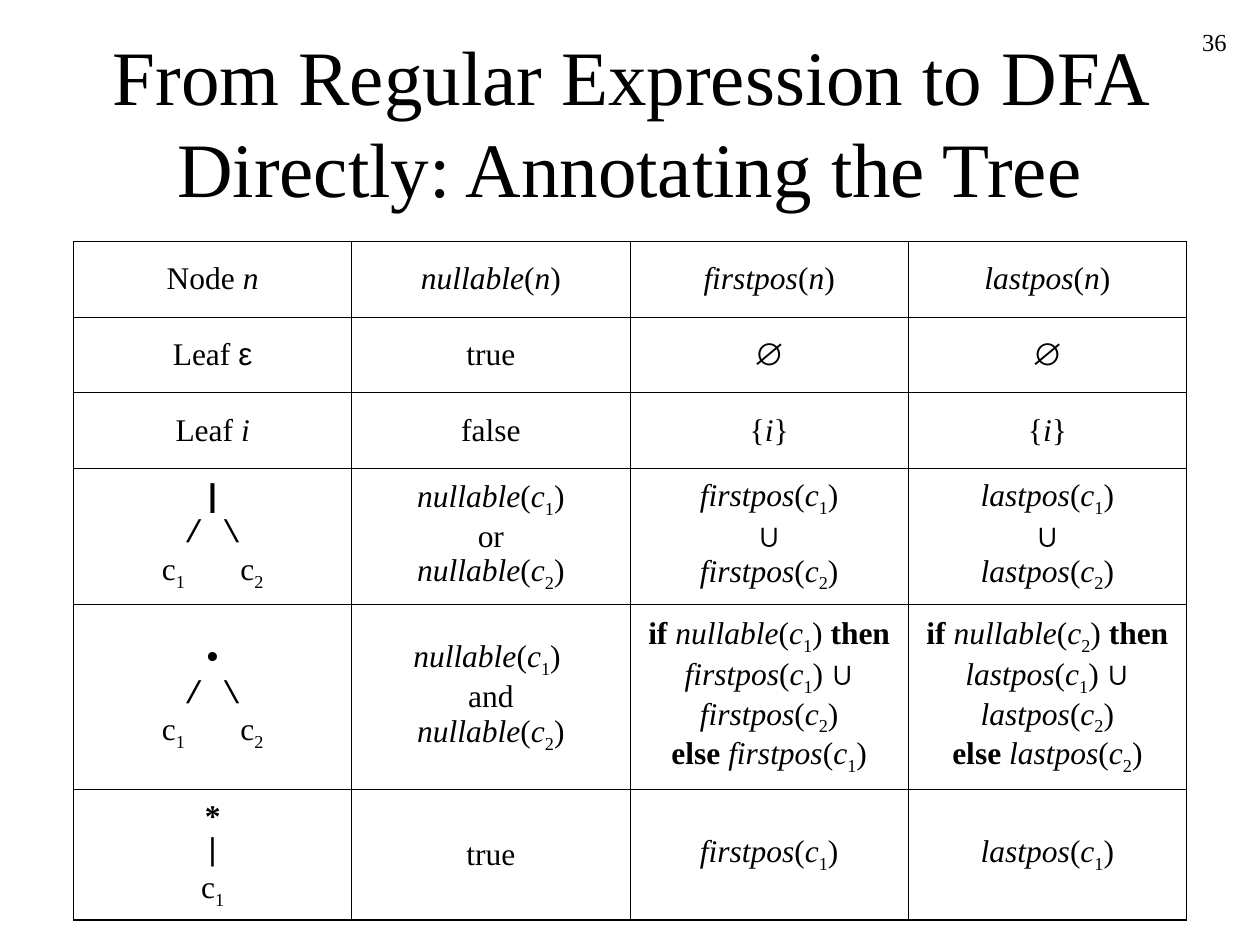
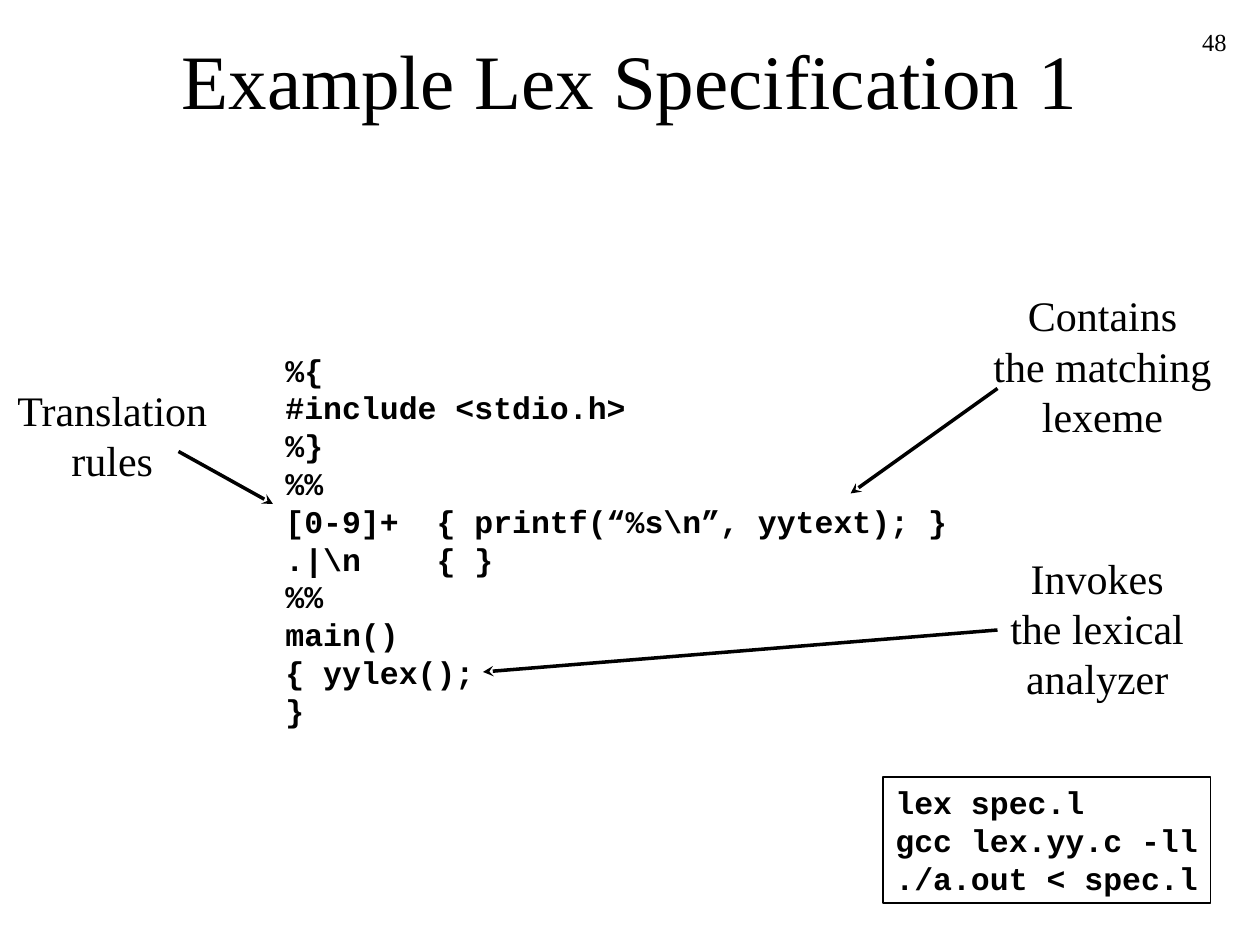
"""Build two lecture slides: a table of syntax tree annotations and a Lex example."""
import dataclasses
import itertools

import lxml.etree
import pptx
import pptx.dml.color
import pptx.enum.shapes
import pptx.enum.text
import pptx.oxml.ns
import pptx.util


@dataclasses.dataclass(frozen=True)
class Theme:
    ink: str = "000000"
    serif: str = "Times New Roman"
    sans: str = "Arial"
    mono: str = "Courier New"
    title: float = 44
    note: float = 24
    body: float = 18
    number: float = 14
    outer_border: float = 1.08
    inner_border: float = 0.45
    frame_line: float = 0.75
    arrow_line: float = 2


theme = Theme()
ink = pptx.dml.color.RGBColor.from_string(theme.ink)
qn = pptx.oxml.ns.qn
Pt = pptx.util.Pt
Align = pptx.enum.text.PP_ALIGN
Middle = pptx.enum.text.MSO_ANCHOR.MIDDLE

deck = pptx.Presentation()
deck.slide_width = pptx.util.Inches(10)
deck.slide_height = pptx.util.Inches(7.5)
COLUMNS = 120
unit = deck.slide_width / COLUMNS


def grid(*cells):
    """Turn counts of grid columns or rows into lengths."""
    return [pptx.util.Emu(round(cell * unit)) for cell in cells]


def fill_text(box, words, size, face=theme.serif, align=Align.LEFT, bold=False, wrap=False):
    """Write words into a box with one font for every paragraph."""
    frame = box.text_frame
    frame.word_wrap = wrap
    frame.auto_size = pptx.enum.text.MSO_AUTO_SIZE.NONE
    frame.text = words
    for para in frame.paragraphs:
        para.alignment = align
        para.font.name = face
        para.font.size = Pt(size)
        para.font.bold = bold
        para.font.color.rgb = ink


pages = []
for title, title_top, number in [
    ("From Regular Expression to DFA Directly: Annotating the Tree", 4, "36"),
    ("Example Lex Specification 1", 0, "48"),
]:
    page = deck.slides.add_slide(deck.slide_layouts.get_by_name("Title Only"))
    heading = page.shapes.title
    heading.left, heading.top, heading.width, heading.height = grid(9, title_top, 102, 15)
    fill_text(heading, title, theme.title, align=Align.CENTER, wrap=True)
    heading.text_frame.vertical_anchor = Middle
    number_box = page.shapes.add_textbox(*grid(93, 2, 25, 6))
    fill_text(number_box, number, theme.number, align=Align.RIGHT, wrap=True)
    pages.append(page)
table_page, lex_page = pages

ITALIC, BOLD, SUB, SANS, MONO, WIDE, BREAK = "~^_@`#\n"
MARKS = ITALIC + BOLD + SUB + SANS + MONO + WIDE + BREAK
WIDE_SPACING = "2900"
children = "`/ \\`\nc_1# #_c_2_"
child_calls = {
    (name, child): f"~{name}~(~c~_{child}_)"
    for name in ("nullable", "firstpos", "lastpos")
    for child in (1, 2)
}
nullable_1, nullable_2, first_1, first_2, last_1, last_2 = child_calls.values()
annotations = [
    ["Node ~n~", "~nullable~(~n~)", "~firstpos~(~n~)", "~lastpos~(~n~)"],
    ["Leaf @ε@", "true", "@∅@", "@∅@"],
    ["Leaf ~i~", "false", "{~i~}", "{~i~}"],
    [
        f"`^|^`\n{children}",
        f"{nullable_1}\nor\n{nullable_2}",
        f"{first_1}\n@∪@\n{first_2}",
        f"{last_1}\n@∪@\n{last_2}",
    ],
    [
        f"`^•^`\n{children}",
        f"{nullable_1} \nand\n{nullable_2}",
        f"^if ^{nullable_1} ^then ^{first_1} @∪ @{first_2}\n^else ^{first_1}",
        f"^if ^{nullable_2} ^then ^{last_1} @∪ @{last_2}\n^else ^{last_2}",
    ],
    ["^*^\n`|`\nc_1_", "true", first_1, last_1],
]
row_heights = grid(7.2, 7.2, 7.2, 12.96, 17.6, 12.48)
row_count, column_count = len(annotations), len(annotations[0])
table = table_page.shapes.add_table(
    row_count, column_count, *grid(7, 23, 106), sum(row_heights)
).table
table.first_row = table.horz_banding = False
for row, height in zip(table.rows, row_heights):
    row.height = height

for row, column in itertools.product(range(row_count), range(column_count)):
    cell = table.cell(row, column)
    cell.vertical_anchor = Middle
    cell.fill.background()
    outer_sides = {
        "L": column == 0,
        "R": column == column_count - 1,
        "T": row == 0,
        "B": row == row_count - 1,
    }
    cell_properties = cell._tc.get_or_add_tcPr()
    for place, (side, is_outer) in enumerate(outer_sides.items()):
        width = Pt(theme.outer_border if is_outer else theme.inner_border)
        border = lxml.etree.Element(qn(f"a:ln{side}"), w=str(width))
        solid = lxml.etree.SubElement(border, qn("a:solidFill"))
        lxml.etree.SubElement(solid, qn("a:srgbClr"), val=theme.ink)
        cell_properties.insert(place, border)

    para = cell.text_frame.paragraphs[0]
    para.alignment = Align.CENTER
    para.space_before = Pt(4.5)
    para.font.size = Pt(theme.body)
    para.font.color.rgb = ink
    active = set()
    for mark, letters in itertools.groupby(
        annotations[row][column], lambda letter: letter if letter in MARKS else ""
    ):
        if mark == BREAK:
            para.add_line_break()
        elif mark:
            active ^= {mark}
        else:
            span = para.add_run()
            span.text = "".join(letters)
            span.font.name = (
                theme.sans if SANS in active else theme.mono if MONO in active else theme.serif
            )
            span.font.italic = ITALIC in active
            span.font.bold = BOLD in active
            if SUB in active:
                span.font._element.set("baseline", "-25000")
            if WIDE in active:
                span.font._element.set("spc", WIDE_SPACING)

lex_code = r"""%{
#include <stdio.h>
%}
%%
[0-9]+  { printf(“%s\n”, yytext); }
.|\n    { }
%%
main()
{ yylex();
}"""
code_box = lex_page.shapes.add_textbox(*grid(26, 32.8, 65.4, 37.2))
fill_text(code_box, lex_code, theme.body, theme.mono, bold=True)

for words, place in [
    ("Contains\vthe matching\vlexeme", (93.4, 27, 23.2, 15.6)),
    ("Invokes\vthe lexical\vanalyzer", (95, 52, 19, 15.6)),
    ("Translation\vrules", (0.4, 36, 20.6, 10.8)),
]:
    note_box = lex_page.shapes.add_textbox(*grid(*place))
    fill_text(note_box, words, theme.note, align=Align.CENTER)

command_box = lex_page.shapes.add_textbox(*grid(84.1, 74, 31.2, 12))
command_box.line.color.rgb = ink
command_box.line.width = Pt(theme.frame_line)
commands = "lex spec.l\vgcc lex.yy.c -ll\v./a.out < spec.l"
fill_text(command_box, commands, theme.body, theme.mono, bold=True)

for ends in [(95, 60, 46, 64), (95, 37, 81, 47), (17, 43, 26, 48)]:
    arrow = lex_page.shapes.add_connector(
        pptx.enum.shapes.MSO_CONNECTOR.STRAIGHT, *grid(*ends)
    )
    arrow.line.color.rgb = ink
    arrow.line.width = Pt(theme.arrow_line)
    lxml.etree.SubElement(arrow.line._get_or_add_ln(), qn("a:tailEnd"), type="stealth")
    lxml.etree.SubElement(arrow._element.spPr, qn("a:effectLst"))

deck.save("out.pptx")
